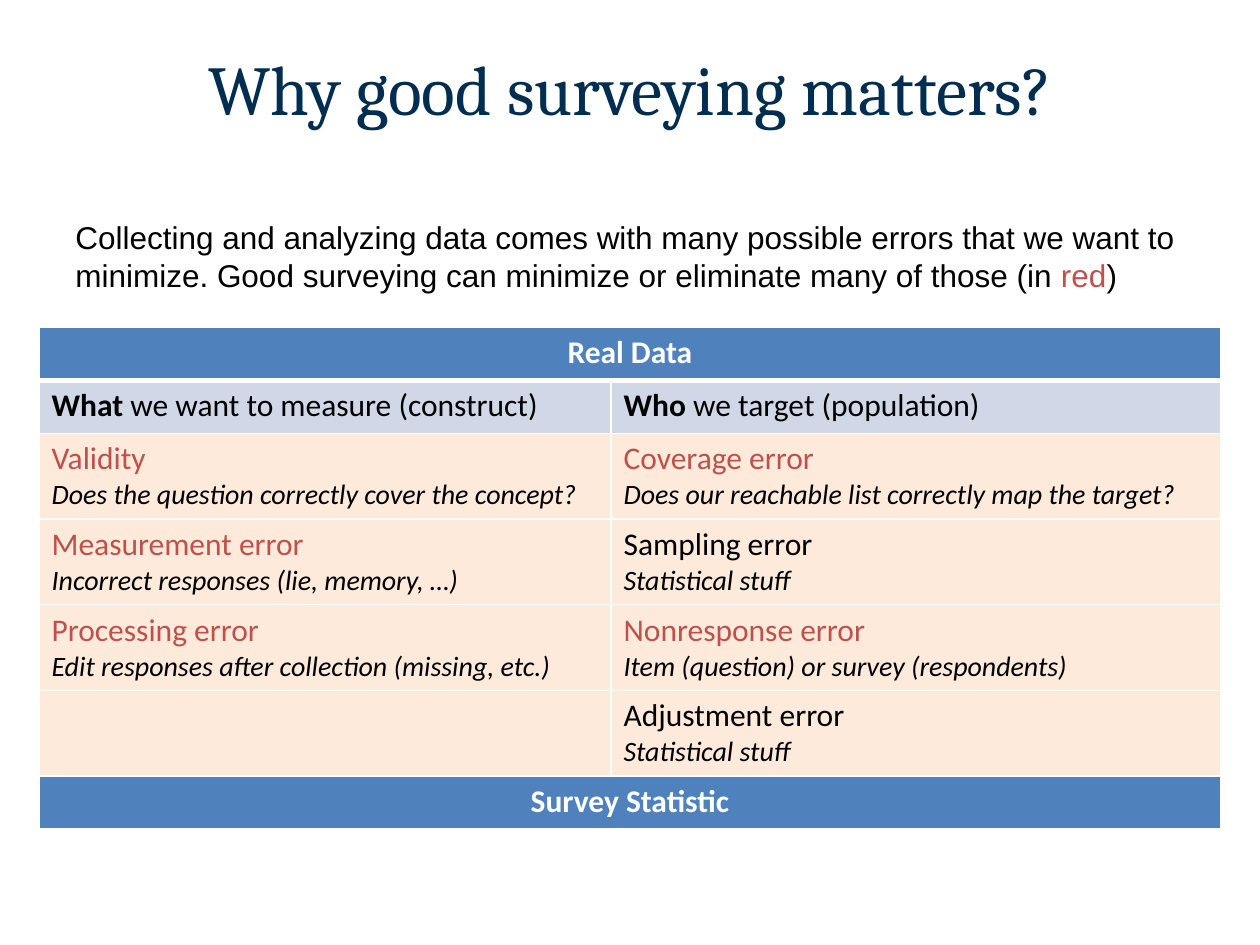
import lxml.etree
import pptx
import pptx.dml.color
import pptx.enum.text
import pptx.oxml.ns
import pptx.util

Inches = pptx.util.Inches
ALIGN = pptx.enum.text.PP_ALIGN
COLORS = {
    "navy": "002D50", "black": "000000", "white": "FFFFFF", "red": "C0504D",
    "header": "4F81BD", "subheader": "D0D8E8", "body": "FDEADA",
}


def add_text(para, text, size=18, font="Calibri", color="black", bold=False, italic=False):
    span = para.add_run()
    span.text = text
    span.font.size = pptx.util.Pt(size)
    span.font.name = font
    span.font.bold = bold
    span.font.italic = italic
    span.font.color.rgb = pptx.dml.color.RGBColor.from_string(COLORS[color])


def style_cell(cell, fill, bottom=1):
    properties = cell._tc.get_or_add_tcPr()
    for side, width in (("L", 1), ("R", 1), ("T", 1), ("B", bottom)):
        line = lxml.etree.SubElement(properties, pptx.oxml.ns.qn(f"a:ln{side}"),
                                     w=str(pptx.util.Pt(width)))
        solid = lxml.etree.SubElement(line, pptx.oxml.ns.qn("a:solidFill"))
        lxml.etree.SubElement(solid, pptx.oxml.ns.qn("a:srgbClr"), val=COLORS["white"])
    cell.fill.solid()
    cell.fill.fore_color.rgb = pptx.dml.color.RGBColor.from_string(COLORS[fill])


deck = pptx.Presentation()
deck.slide_width, deck.slide_height = Inches(10), Inches(7.5)
page = deck.slides.add_slide(deck.slide_layouts[5])

title = page.shapes.title
title.left, title.top, title.width, title.height = (
    Inches(0.5), Inches(0.3), Inches(9), Inches(0.79))
title.text_frame.vertical_anchor = pptx.enum.text.MSO_ANCHOR.MIDDLE
title_para = title.text_frame.paragraphs[0]
title_para.alignment = ALIGN.CENTER
add_text(title_para, "Why good surveying matters?", size=40, font="Cambria", color="navy")

intro = page.shapes.add_textbox(Inches(0.5), Inches(1.68), Inches(9), Inches(0.8))
intro.text_frame.word_wrap = True
intro_para = intro.text_frame.paragraphs[0]
intro_para.space_before = pptx.util.Pt(3.6)
for text, color in (
    ("Collecting and analyzing data comes with many possible errors that we want to "
     "minimize. Good surveying can minimize or eliminate many of those (in ", "black"),
    ("red", "red"),
    (")", "black"),
):
    add_text(intro_para, text, font="Arial", color=color)

row_heights = [0.42, 0.42, 0.68, 0.68, 0.68, 0.68, 0.42]
column_widths = [4.54, 4.84]
table = page.shapes.add_table(
    len(row_heights), len(column_widths), Inches(0.31), Inches(2.6),
    Inches(sum(column_widths)), Inches(sum(row_heights))).table
table.first_row = False
table.horz_banding = False
for row, height in zip(table.rows, row_heights):
    row.height = Inches(height)
for column, width in zip(table.columns, column_widths):
    column.width = Inches(width)

last_row = len(row_heights) - 1
for row, text, bottom in ((0, "Real Data", 3), (last_row, "Survey Statistic", 1)):
    table.cell(row, 0).merge(table.cell(row, 1))
    for column in range(2):
        style_cell(table.cell(row, column), "header", bottom)
    para = table.cell(row, 0).text_frame.paragraphs[0]
    para.alignment = ALIGN.CENTER
    add_text(para, text, color="white", bold=True)

subheaders = [("What", " we want to measure (construct)"), ("Who", " we target (population)")]
for column, (keyword, rest) in enumerate(subheaders):
    cell = table.cell(1, column)
    style_cell(cell, "subheader")
    para = cell.text_frame.paragraphs[0]
    add_text(para, keyword, bold=True)
    add_text(para, rest)

errors = [
    [("Validity", "red", "Does the question correctly cover the concept?"),
     ("Coverage error", "red", "Does our reachable list correctly map the target?")],
    [("Measurement error", "red", "Incorrect responses (lie, memory, …)"),
     ("Sampling error", "black", "Statistical stuff")],
    [("Processing error", "red", "Edit responses after collection (missing, etc.)"),
     ("Nonresponse error", "red", "Item (question) or survey (respondents)")],
    [None, ("Adjustment error", "black", "Statistical stuff")],
]
for row, pair in enumerate(errors, start=2):
    for column, error in enumerate(pair):
        cell = table.cell(row, column)
        style_cell(cell, "body")
        if error:
            name, color, description = error
            add_text(cell.text_frame.paragraphs[0], name, color=color)
            add_text(cell.text_frame.add_paragraph(), description, size=16, italic=True)

deck.save("out.pptx")
